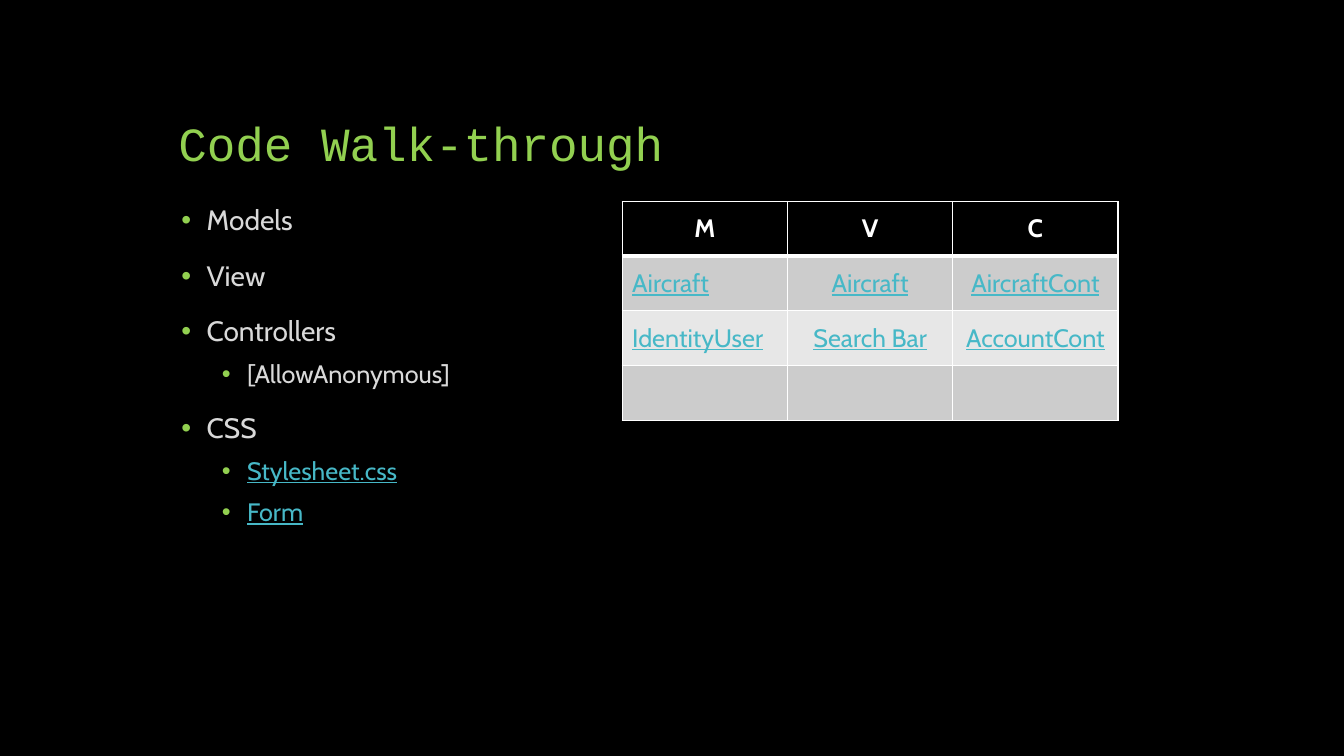
from lxml import etree
from pptx import Presentation, util as u
from pptx.dml.color import RGBColor
from pptx.enum import text
from pptx.oxml.ns import qn

HEADING = "Code Walk-through"
TOPICS = [
    (0, "Models"), (0, "View"), (0, "Controllers"), (1, "[AllowAnonymous]"),
    (0, "CSS"), (1, "Stylesheet.css"), (1, "Form"),
]
LINKED_TOPICS = {"Stylesheet.css", "Form"}
MVC = [
    ("M", "V", "C"),
    ("Aircraft", "Aircraft", "AircraftCont"),
    ("IdentityUser", "Search Bar", "AccountCont"),
    ("", "", ""),
]

BLACK = RGBColor(0x00, 0x00, 0x00)
WHITE = RGBColor(0xFF, 0xFF, 0xFF)
GREEN = RGBColor(0x92, 0xD0, 0x50)
PALE = RGBColor(0xD9, 0xD9, 0xD9)
LINK = RGBColor(0x47, 0xB8, 0xC7)
BAND_DARK = RGBColor(0xCC, 0xCC, 0xCC)
BAND_LIGHT = RGBColor(0xE7, 0xE7, 0xE7)

LEVELS = [(20, 18, 0.25), (18, 10, 0.65)]
HANGING = 0.25
COLUMN, ROW = 1.64, 2.17 / 4


def box(left, top, width, height):
    return [u.Inches(length) for length in (left, top, width, height)]


def place(holder, bounds):
    holder.left, holder.top, holder.width, holder.height = box(*bounds)
    holder.text_frame.word_wrap = True
    holder.text_frame.auto_size = text.MSO_AUTO_SIZE.NONE
    return holder.text_frame


def add_run(paragraph, words, size, color, face="Cabin", bold=False, underline=False):
    run = paragraph.add_run()
    run.text = words
    font = run.font
    font.name, font.size, font.bold, font.underline = face, u.Pt(size), bold, underline
    font.color.rgb = color


def add_bullet(paragraph, indent):
    props = paragraph._p.get_or_add_pPr()
    props.set("marL", str(u.Inches(indent)))
    props.set("indent", str(-u.Inches(HANGING)))
    tint = etree.SubElement(props, qn("a:buClr"))
    etree.SubElement(tint, qn("a:srgbClr"), val=str(GREEN))
    etree.SubElement(props, qn("a:buFont"), typeface="Arial")
    etree.SubElement(props, qn("a:buChar"), char="•")


def add_borders(cell, widths):
    props = cell._tc.get_or_add_tcPr()
    for order, (side, width) in enumerate(widths.items()):
        edge = etree.Element(qn(f"a:ln{side}"), w=str(u.Pt(width)))
        fill = etree.SubElement(edge, qn("a:solidFill"))
        etree.SubElement(fill, qn("a:srgbClr"), val=str(WHITE))
        props.insert(order, edge)


def fill_title(slide):
    frame = place(slide.shapes.title, (1.67, 0.5, 10, 1.25))
    frame.vertical_anchor = text.MSO_ANCHOR.BOTTOM
    heading = frame.paragraphs[0]
    heading.alignment = text.PP_ALIGN.LEFT
    heading.line_spacing = 0.9
    add_run(heading, HEADING, 34, GREEN, "Courier New")


def fill_topics(slide):
    frame = place(slide.placeholders[1], (1.7, 2, 4.75, 4.67))
    for number, (level, topic) in enumerate(TOPICS):
        size, space, indent = LEVELS[level]
        paragraph = frame.add_paragraph() if number else frame.paragraphs[0]
        paragraph.level = level
        paragraph.line_spacing = 0.9
        paragraph.space_before = u.Pt(space)
        add_bullet(paragraph, indent)
        linked = topic in LINKED_TOPICS
        add_run(paragraph, topic, size, LINK if linked else PALE, underline=linked)


def fill_mvc(slide):
    bounds = box(6.17, 2, COLUMN * len(MVC[0]), ROW * len(MVC))
    table = slide.shapes.add_table(len(MVC), len(MVC[0]), *bounds).table
    for row, entries in enumerate(MVC):
        header = row == 0
        band = BLACK if header else BAND_DARK if row % 2 else BAND_LIGHT
        for column, entry in enumerate(entries):
            cell = table.cell(row, column)
            cell.vertical_anchor = text.MSO_ANCHOR.MIDDLE
            cell.fill.solid()
            cell.fill.fore_color.rgb = band
            add_borders(cell, {"L": 1, "R": 1, "T": 3 if row == 1 else 1, "B": 3 if header else 1})
            if entry:
                paragraph = cell.text_frame.paragraphs[0]
                centred = header or column > 0
                paragraph.alignment = text.PP_ALIGN.CENTER if centred else text.PP_ALIGN.LEFT
                add_run(paragraph, entry, 18, WHITE if header else LINK,
                        bold=header, underline=not header)


def main():
    deck = Presentation()
    deck.slide_width, deck.slide_height = u.Inches(13.33), u.Inches(7.5)
    slide = deck.slides.add_slide(deck.slide_layouts[1])
    slide.background.fill.solid()
    slide.background.fill.fore_color.rgb = BLACK
    fill_title(slide)
    fill_topics(slide)
    fill_mvc(slide)
    deck.save("out.pptx")


if __name__ == "__main__":
    main()
